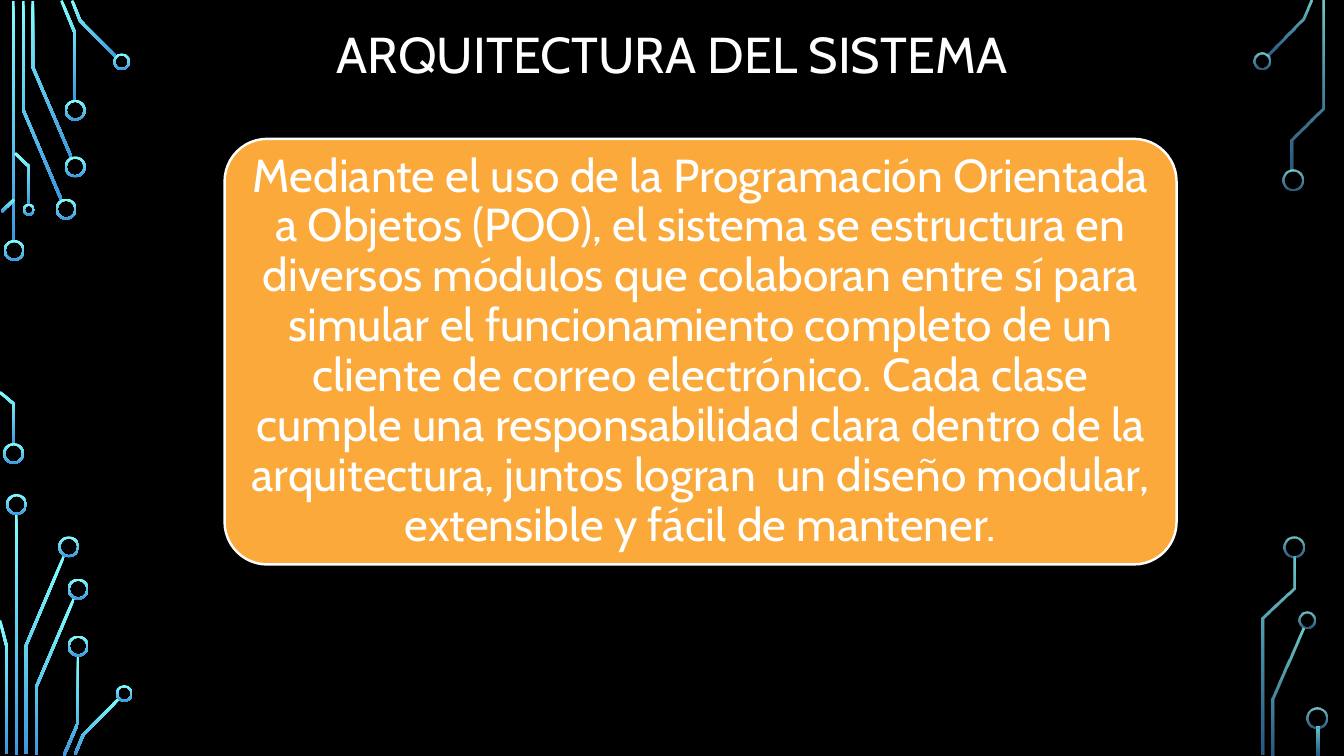
import math

from lxml import etree
from pptx import Presentation
from pptx.dml.color import RGBColor
from pptx.enum.shapes import MSO_SHAPE
from pptx.enum.text import MSO_ANCHOR, PP_ALIGN
from pptx.oxml.ns import qn
from pptx.util import Pt

RECT, ROUND_RECT, DONUT = MSO_SHAPE.RECTANGLE, MSO_SHAPE.ROUNDED_RECTANGLE, MSO_SHAPE.DONUT
MIDDLE, CENTER = MSO_ANCHOR.MIDDLE, PP_ALIGN.CENTER

COLORS = {"background": "000000", "text": "FFFFFF", "card": "FAA93A",
          "glow_top": "82FFFF", "glow_bottom": "3D97DE"}
TRACE_WIDTH = 1.9
RING_WIDTH = 1.45
SOLID, FADED = (100, 100), (80, 60)  # opacity in percent, top and bottom

# Centre lines of the circuit traces, in points
LEFT_TRACES = [
    [(43.9, 142.9), (16.6, 78.5), (16.6, 0.7)],
    [(51.1, 112.7), (23.4, 47.9), (23.4, 0.7)],
    [(53.6, 72), (53.6, 23.8), (43.9, 0.4)],
    [(83.2, 41), (57.2, 14.8), (51.5, 0.4)],
    [(1.1, 151.2), (10.1, 142.6)],
    [(10.1, 317.5), (10.1, 288.7), (0, 280.1)],
    [(20.9, 146.2), (20.9, 119.2), (10.8, 109.4)],
    [(18.4, 538.6), (18.4, 461.5), (45.7, 397.1)],
    [(4.7, 538.6), (4.7, 461.5), (0, 443.2)],
    [(25.6, 539.3), (25.6, 491.4), (52.9, 427.3)],
    [(45.7, 539.6), (55.8, 516.2), (55.8, 468)],
    [(53.6, 538.9), (59.4, 524.9), (85, 499)],
]
RIGHT_TRACES = [
    [(905, 40), (930.6, 14), (936.4, 0.4)],
    [(909, 539.3), (909, 499.3), (931, 448.9)],
    [(923, 121.7), (923, 99.7), (945, 77.4), (945, 0.7)],
    [(901.8, 539.3), (901.8, 441.7), (924.1, 420.1), (924.1, 397.4)],
]
# Straight traces: left, top, height
LEFT_BARS = [(8.6, 0.7, 172), (10.8, 367.2, 172)]
RIGHT_BARS = [(940.3, 519.1, 20.2)]
# Ring centres and diameters
LEFT_RINGS = [
    (10.1, 178.9, 15), (9.7, 324, 15), (47.2, 149.4, 15), (53.7, 119.2, 15),
    (53.7, 78.8, 15), (86.9, 44.1, 12), (20.6, 149.8, 8.6), (11.8, 360.4, 15),
    (49.1, 390.6, 15), (55.8, 420.8, 15), (55.8, 461.5, 15), (88.8, 495.4, 12),
]
RIGHT_RINGS = [
    (901.2, 43.6, 12), (923.4, 128.5, 15), (933.5, 443.2, 12),
    (924, 390.6, 15), (940.7, 512.6, 15),
]

TITLE = "ARQUITECTURA DEL SISTEMA"
BODY = ("Mediante el uso de la Programación Orientada a Objetos (POO), el sistema se "
        "estructura en diversos módulos que colaboran entre sí para simular el "
        "funcionamiento completo de un cliente de correo electrónico. Cada clase cumple "
        "una responsabilidad clara dentro de la arquitectura, juntos logran  un diseño "
        "modular, extensible y fácil de mantener.")


def rgb(name):
    return RGBColor.from_string(COLORS[name])


def trace_outline(points, width):
    """Widen a centre line into a closed outline with mitred corners."""
    normals = []
    for (x1, y1), (x2, y2) in zip(points, points[1:]):
        length = math.hypot(x2 - x1, y2 - y1)
        normals.append(((y1 - y2) / length, (x2 - x1) / length))
    befores, afters = normals[:1] + normals, normals + normals[-1:]
    one_side, other_side = [], []
    for (x, y), (ax, ay), (bx, by) in zip(points, befores, afters):
        reach = width / 2 / (1 + ax * bx + ay * by)
        dx, dy = (ax + bx) * reach, (ay + by) * reach
        one_side.append((x + dx, y + dy))
        other_side.append((x - dx, y - dy))
    return one_side + other_side[::-1]


class SlideBuilder:
    def __init__(self, slide, font):
        self.slide = slide
        self.font = font

    def background(self, color):
        fill = self.slide.background.fill
        fill.solid()
        fill.fore_color.rgb = rgb(color)

    def glow(self, sp, opacity):
        """Fill with the vertical blue gradient and drop the outline."""
        sp.shadow.inherit = False
        sp.line.fill.background()
        sp.fill.gradient()
        sp.fill.gradient_angle = 270
        for stop, color in zip(sp.fill.gradient_stops, ("glow_top", "glow_bottom")):
            stop.color.rgb = rgb(color)
        for clr, percent in zip(sp.element.spPr.iter(qn("a:srgbClr")), opacity):
            if percent < 100:
                etree.SubElement(clr, qn("a:alpha")).set("val", str(percent * 1000))

    def shape(self, kind, left, top, width, height):
        return self.slide.shapes.add_shape(kind, Pt(left), Pt(top), Pt(width), Pt(height))

    def trace(self, points, opacity):
        outline = [(Pt(x), Pt(y)) for x, y in trace_outline(points, TRACE_WIDTH)]
        builder = self.slide.shapes.build_freeform(*outline[0])
        builder.add_line_segments(outline[1:], close=True)
        self.glow(builder.convert_to_shape(), opacity)

    def bar(self, left, top, height, opacity):
        self.glow(self.shape(RECT, left, top, TRACE_WIDTH, height), opacity)

    def ring(self, x, y, diameter, opacity):
        sp = self.shape(DONUT, x - diameter / 2, y - diameter / 2, diameter, diameter)
        sp.adjustments[0] = RING_WIDTH / diameter
        self.glow(sp, opacity)

    def circuit(self, bars, traces, rings, opacity):
        for bar in bars:
            self.bar(*bar, opacity)
        for points in traces:
            self.trace(points, opacity)
        for ring in rings:
            self.ring(*ring, opacity)

    def set_text(self, sp, text, size):
        tf = sp.text_frame
        tf.word_wrap = True
        tf.vertical_anchor = MIDDLE
        p = tf.paragraphs[0]
        p.text = text
        p.alignment = CENTER
        p.line_spacing = 0.9
        p.font.name = self.font
        p.font.size = Pt(size)
        p.font.color.rgb = rgb("text")
        return tf

    def title(self, text, left, top, width, height):
        box = self.slide.shapes.add_textbox(Pt(left), Pt(top), Pt(width), Pt(height))
        self.set_text(box, text, 36)

    def card(self, text, left, top, width, height):
        sp = self.shape(ROUND_RECT, left, top, width, height)
        sp.adjustments[0] = 0.1
        sp.shadow.inherit = False
        sp.fill.solid()
        sp.fill.fore_color.rgb = rgb("card")
        sp.line.color.rgb = rgb("text")
        sp.line.width = Pt(1.75)
        tf = self.set_text(sp, text, 33)
        tf.margin_left = tf.margin_right = tf.margin_top = tf.margin_bottom = Pt(10)


def main():
    prs = Presentation()
    prs.slide_width, prs.slide_height = Pt(960), Pt(540)
    s = SlideBuilder(prs.slides.add_slide(prs.slide_layouts[6]), "Cabin")
    s.background("background")
    s.circuit(LEFT_BARS, LEFT_TRACES, LEFT_RINGS, SOLID)
    s.circuit(RIGHT_BARS, RIGHT_TRACES, RIGHT_RINGS, FADED)
    s.title(TITLE, 90, -17.3, 780, 116.6)
    s.card(BODY, 160.4, 99.2, 680, 304)
    prs.save("out.pptx")


if __name__ == "__main__":
    main()
